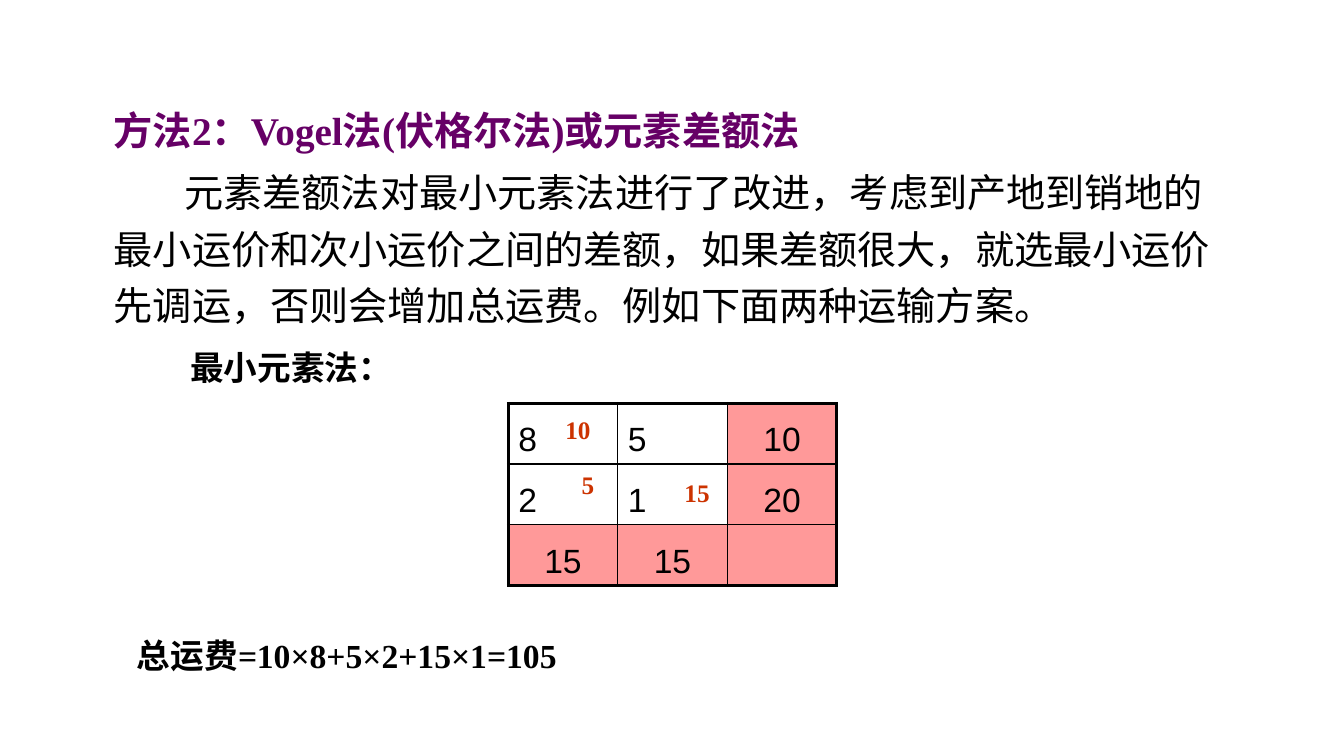
from lxml.etree import SubElement
from pptx import Presentation
from pptx.dml.color import RGBColor
from pptx.enum.lang import MSO_LANGUAGE_ID as Language
from pptx.enum.text import MSO_ANCHOR as Anchor, MSO_AUTO_SIZE as AutoSize, PP_ALIGN as Align
from pptx.oxml.ns import qn
from pptx.util import Inches, Pt

SERIF, SANS = "Times New Roman", "Arial"
BLACK, PURPLE, RED, PINK = "000000", "660066", "CC3300", "FF9999"
THIN, THICK = 1, 2.25


def color(hex_string):
    return RGBColor.from_string(hex_string)


def add_run(paragraph, text, size, hex_string=BLACK, bold=True, italic=False, name=SERIF):
    run = paragraph.add_run()
    run.text = text
    font = run.font
    font.name, font.size, font.bold, font.italic = name, Pt(size), bold, italic
    font.language_id = Language.SIMPLIFIED_CHINESE
    font.color.rgb = color(hex_string)


def add_text_box(slide, box, wrap=True):
    shape = slide.shapes.add_textbox(*map(Inches, box))
    frame = shape.text_frame
    frame.word_wrap = wrap
    frame.auto_size = AutoSize.SHAPE_TO_FIT_TEXT
    frame.paragraphs[0].line_spacing = 1.2
    return frame


def add_introduction(slide, box):
    frame = add_text_box(slide, box)
    add_run(frame.paragraphs[0], "方法2：Vogel法(伏格尔法)或元素差额法", 28, PURPLE)
    paragraph = frame.add_paragraph()
    paragraph.line_spacing = 1.2
    paragraph.space_before = Pt(4.2)
    paragraph._p.get_or_add_pPr().set("indent", str(Inches(0.7)))
    add_run(paragraph, "元素差额法对最小元素法进行了改进，考虑到产地到销地的最小运价和次小运价之间的差额，"
            "如果差额很大，就选最小运价先调运，否则会增加总运费。例如下面两种运输方案。", 28, bold=False)


def add_method_label(slide, box):
    add_run(add_text_box(slide, box).paragraphs[0], "最小元素法：", 24)


def add_total_cost(slide, box):
    paragraph = add_text_box(slide, box, wrap=False).paragraphs[0]
    add_run(paragraph, "总运费", 24)
    add_run(paragraph, "=", 24, italic=True)
    add_run(paragraph, "10×8+5×2+15×1=105", 24)


def set_borders(cell, widths):
    properties = cell._tc.get_or_add_tcPr()
    for position, (side, width) in enumerate(widths.items()):
        line = SubElement(properties, qn(f"a:ln{side}"), w=str(Pt(width)))
        fill = SubElement(line, qn("a:solidFill"))
        SubElement(fill, qn("a:srgbClr"), val=BLACK)
        properties.insert(position, line)


def add_transport_table(slide, box):
    rows = [["8", "5", "10"], ["2", "1", "20"], ["15", "15", ""]]
    last = len(rows) - 1
    left, top, width, height = box
    table = slide.shapes.add_table(len(rows), len(rows[0]), *map(Inches, box)).table
    table.first_row = table.horz_banding = False
    for column in table.columns:
        column.width = Inches(width / len(rows[0]))
    for row_index, row in enumerate(rows):
        table.rows[row_index].height = Inches(height / len(rows))
        for column_index, text in enumerate(row):
            cell = table.cell(row_index, column_index)
            cell.vertical_anchor = Anchor.BOTTOM
            paragraph = cell.text_frame.paragraphs[0]
            if last in (row_index, column_index):
                cell.fill.solid()
                cell.fill.fore_color.rgb = color(PINK)
                paragraph.alignment = Align.CENTER
            else:
                cell.fill.background()
            if text:
                add_run(paragraph, text, 24, bold=False, name=SANS)
            set_borders(cell, {
                "L": THICK if column_index == 0 else THIN,
                "R": THICK if column_index == last else THIN,
                "T": THICK if row_index == 0 else THIN,
                "B": THICK if row_index == last else THIN,
            })
    shipments = [("10", 0.47, 0, 0.57), ("5", 0.63, 0.55, 0.47), ("15", 1.65, 0.63, 0.57)]
    for amount, across, down, amount_width in shipments:
        frame = add_text_box(slide, (left + across, top + down, amount_width, 0.46))
        add_run(frame.paragraphs[0], amount, 18, RED)


presentation = Presentation()
presentation.slide_width, presentation.slide_height = Inches(13.33), Inches(7.5)
slide = presentation.slides.add_slide(presentation.slide_layouts[6])
add_introduction(slide, (1.03, 0.91, 11.28, 2.4))
add_transport_table(slide, (5.04, 4, 3.26, 1.81))
add_total_cost(slide, (1.26, 6.17, 4.79, 0.58))
add_method_label(slide, (1.79, 3.31, 2.6, 0.58))
presentation.save("out.pptx")
